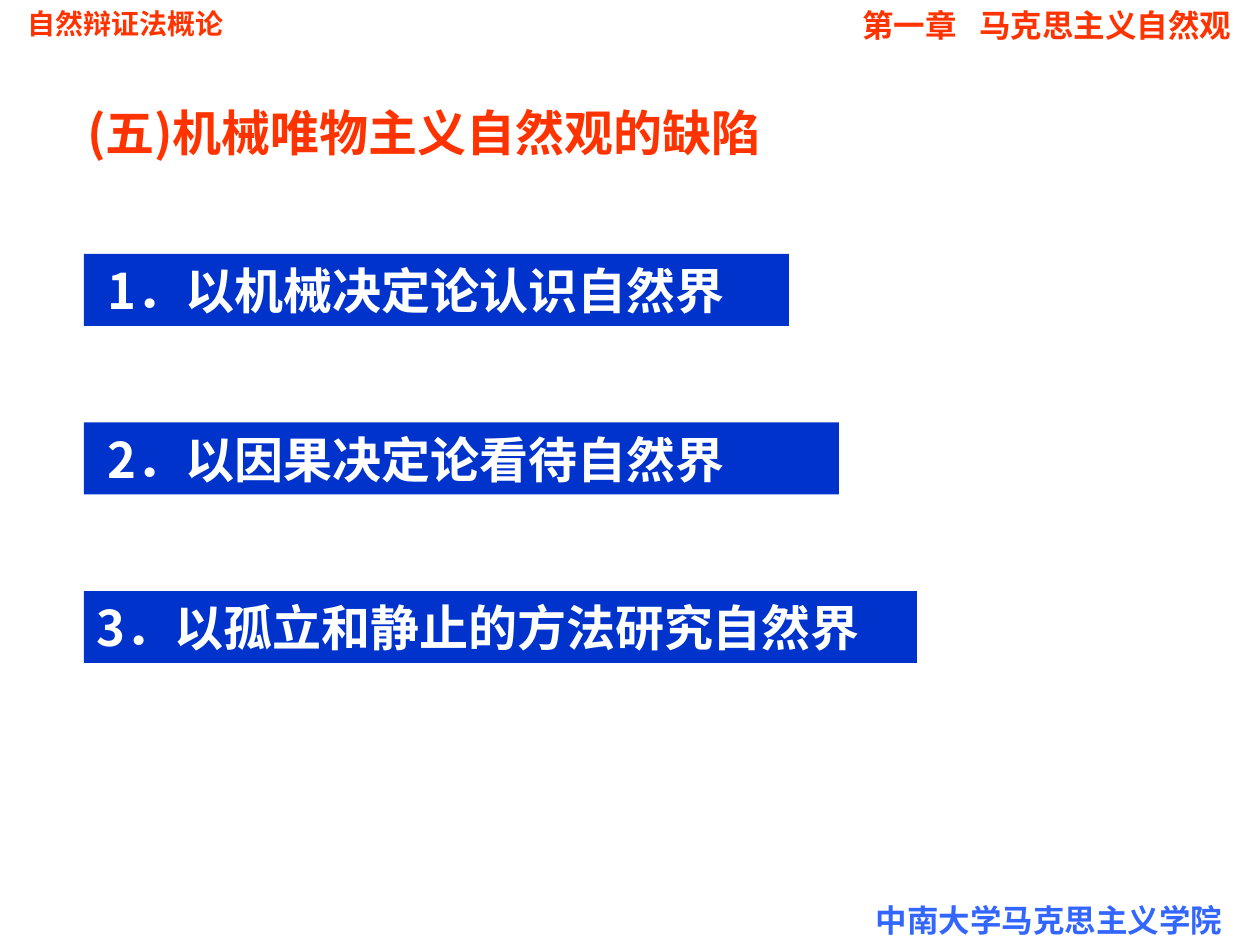
from lxml import etree
from pptx import Presentation
from pptx import util as u
from pptx.dml.color import RGBColor
from pptx.enum import shapes, text
from pptx.oxml.ns import qn

PX = 914400 / 126
COLORS = {"red": "FF3300", "sky": "3366FF", "bar": "0033CC", "white": "FFFFFF"}
CJK = "Noto Sans CJK SC"
INSET = 13


def px(length):
    return u.Emu(round(length * PX))


def place(shape, box):
    shape.left, shape.top, shape.width, shape.height = map(px, box)


def add_tab_stop(paragraph, position):
    props = paragraph._p.get_or_add_pPr()
    stops = etree.SubElement(props, qn("a:tabLst"))
    etree.SubElement(stops, qn("a:tab"), pos=str(px(position)), algn="l")


def write(shape, words, size, color, font=CJK, indent=INSET, tab=None):
    """Fill a shape with one bold, left-aligned, vertically centred line."""
    frame = shape.text_frame
    frame.word_wrap = True
    frame.auto_size = text.MSO_AUTO_SIZE.NONE
    frame.vertical_anchor = text.MSO_ANCHOR.MIDDLE
    frame.margin_left, frame.margin_right = px(indent), px(INSET)
    frame.margin_top = frame.margin_bottom = px(6)
    line = frame.paragraphs[0]
    line.alignment = text.PP_ALIGN.LEFT
    if tab:
        add_tab_stop(line, tab)
    run = line.add_run()
    run.text = words
    run.font.size = u.Pt(size)
    run.font.bold = True
    run.font.name = font
    run.font.color.rgb = RGBColor.from_string(COLORS[color])
    etree.SubElement(run._r.get_or_add_rPr(), qn("a:ea"), typeface=CJK)


def add_label(slide, box, words, size, color, **layout):
    label = slide.shapes.add_textbox(*map(px, box))
    write(label, words, size, color, font="Arial", **layout)


def add_running_labels(slide, box):
    """Course and chapter at the top, school at the bottom right."""
    left, top, width, height = box
    right, bottom = left + width, top + height
    add_label(slide, (left + 15, top, 476, 47), "自然辩证法概论", 16, "red")
    add_label(slide, (right - 397, bottom - 50, 397, 50),
              "中南大学马克思主义学院", 18, "sky")
    add_label(slide, (right - 461, top, 461, 50),
              "第一章\t马克思主义自然观", 18, "red", indent=63, tab=117)


def add_heading(slide, box):
    heading = slide.shapes.title
    place(heading, box)
    write(heading, "(五)机械唯物主义自然观的缺陷", 28, "red")


def add_defects(slide, box):
    """Bars of differing width, spread evenly over the height of the box."""
    defects = [("1．以机械决定论认识自然界", 705, 24),
               ("2．以因果决定论看待自然界", 755, 24),
               ("3．以孤立和静止的方法研究自然界", 833, INSET)]
    left, top, _, height = box
    bar_height = 72
    step = (height - bar_height) / (len(defects) - 1)
    for row, (defect, width, indent) in enumerate(defects):
        bar = slide.shapes.add_shape(
            shapes.MSO_SHAPE.RECTANGLE,
            *map(px, (left, top + row * step, width, bar_height)))
        bar.shadow.inherit = False
        bar.fill.solid()
        bar.fill.fore_color.rgb = RGBColor.from_string(COLORS["bar"])
        bar.line.fill.background()
        write(bar, defect, 28, "white", indent=indent)


def main():
    deck = Presentation()
    deck.slide_width, deck.slide_height = px(1260), px(945)
    slide = deck.slides.add_slide(deck.slide_layouts[5])
    add_running_labels(slide, (0, 0, 1260, 945))
    add_heading(slide, (74, 96, 1002, 72))
    add_defects(slide, (84, 254, 833, 409))
    deck.save("out.pptx")


if __name__ == "__main__":
    main()
